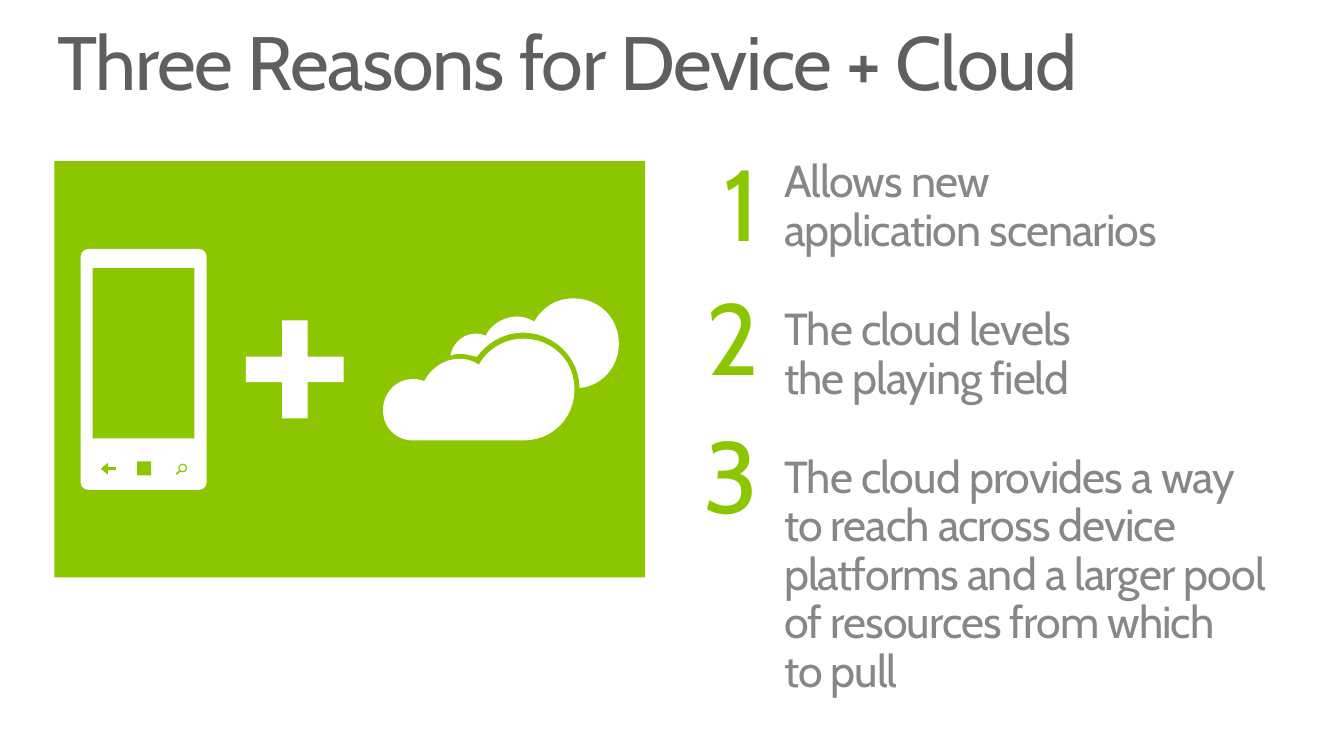
"""Build the slide on three reasons for device plus cloud."""
from dataclasses import dataclass

from lxml.etree import SubElement
from pptx import Presentation
from pptx.dml.color import RGBColor
from pptx.enum.shapes import MSO_CONNECTOR, MSO_SHAPE
from pptx.enum.text import MSO_ANCHOR, MSO_AUTO_SIZE, PP_ALIGN
from pptx.oxml.ns import qn
from pptx.shapes.autoshape import Shape
from pptx.slide import Slide
from pptx.util import Pt

HUES = {"green": "8CC600", "white": "FFFFFF", "title": "5F5F5F", "body": "878787"}
FONT = "Cabin"
STEPS = 12

Point = tuple[float, float]


@dataclass(frozen=True)
class Box:
    left: float
    top: float
    width: float
    height: float


@dataclass(frozen=True)
class Style:
    size: float
    hue: str
    track: float
    align: PP_ALIGN = PP_ALIGN.LEFT
    before: float = 0
    after: float = 0


@dataclass(frozen=True)
class Part:
    kind: MSO_SHAPE
    box: Box
    hue: str
    bends: tuple[float, ...] = ()


@dataclass(frozen=True)
class Cloud:
    start: Point
    curves: tuple[tuple[Point, Point, Point], ...]


TITLE = Style(54, "title", -1)
BODY = Style(32, "body", -0.7, before=6.4, after=30)
DIGIT = Style(72, "green", -1, PP_ALIGN.RIGHT)

REASONS = (
    "Allows new\vapplication scenarios",
    "The cloud levels\vthe playing field",
    "The cloud provides a way\vto reach across device platforms and a larger pool "
    "of resources from which\vto pull",
)
DIGIT_TOPS = (110.16, 205.92, 304.56)

PARTS = (
    Part(MSO_SHAPE.RECTANGLE, Box(38.88, 115.2, 421.92, 297.36), "green"),
    Part(MSO_SHAPE.ROUNDED_RECTANGLE, Box(57.6, 177.84, 90, 172.08), "white", (0.06,)),
    Part(MSO_SHAPE.RECTANGLE, Box(66.24, 191.52, 72.72, 121.68), "green"),
    Part(MSO_SHAPE.LEFT_ARROW, Box(72, 330.5, 10.8, 8.6), "green", (0.25, 0.6)),
    Part(MSO_SHAPE.RECTANGLE, Box(98, 329.6, 10, 10), "green"),
    Part(MSO_SHAPE.DONUT, Box(127.4, 331.2, 6.2, 6.2), "green", (0.14,)),
    Part(MSO_SHAPE.CROSS, Box(175.68, 228.96, 69.84, 69.84), "white", (0.37,)),
)

CLOUDS = (
    Cloud((409.68, 213.12), (
        ((397.44, 213.12), (387.36, 219.6), (381.6, 229.68)),
        ((378, 227.52), (373.68, 226.08), (369.36, 226.08)),
        ((360, 226.08), (350.64, 231.84), (347.04, 239.76)),
        ((344.88, 239.04), (342.72, 238.32), (339.84, 238.32)),
        ((331.2, 238.32), (323.28, 244.8), (321.84, 254.16)),
        ((323.28, 253.44), (326.16, 252.72), (329.04, 252.72)),
        ((332.64, 252.72), (336.96, 254.16), (340.56, 254.88)),
        ((348.48, 244.08), (360.72, 237.6), (373.68, 237.6)),
        ((396, 237.6), (414, 255.6), (414, 277.2)),
        ((429.84, 275.76), (442.08, 262.08), (442.08, 245.52)),
        ((442.08, 226.8), (427.68, 213.12), (409.68, 213.12)),
    )),
    Cloud((373.68, 241.92), (
        ((360.72, 241.92), (348.48, 249.12), (342, 260.64)),
        ((338.4, 257.76), (333.36, 256.32), (328.32, 256.32)),
        ((317.52, 256.32), (308.16, 262.8), (303.12, 272.16)),
        ((300.24, 271.44), (298.08, 270.72), (295.2, 270.72)),
        ((282.96, 270.72), (273.6, 280.8), (273.6, 293.04)),
        ((273.6, 305.28), (282.96, 314.64), (295.2, 314.64)),
        ((295.2, 314.64), (373.68, 314.64), (373.68, 314.64)),
        ((394.56, 314.64), (410.4, 298.8), (410.4, 277.92)),
        ((410.4, 257.76), (394.56, 241.92), (373.68, 241.92)),
    )),
)


def tint(hue: str) -> RGBColor:
    """Return the named colour."""
    return RGBColor.from_string(HUES[hue])


def spread(box: Box) -> tuple[Pt, Pt, Pt, Pt]:
    """Return the four lengths of a box."""
    return Pt(box.left), Pt(box.top), Pt(box.width), Pt(box.height)


def paint(shape: Shape, hue: str) -> None:
    """Give a shape a flat fill with no line or shadow."""
    shape.shadow.inherit = False
    shape.fill.solid()
    shape.fill.fore_color.rgb = tint(hue)
    shape.line.fill.background()


def write(shape: Shape, text: str, style: Style) -> None:
    """Fill a shape with text in the given style."""
    frame = shape.text_frame
    frame.word_wrap = True
    frame.auto_size = MSO_AUTO_SIZE.NONE
    frame.vertical_anchor = MSO_ANCHOR.TOP
    frame.margin_left = frame.margin_right = frame.margin_top = frame.margin_bottom = 0
    frame.text = text
    for rank, para in enumerate(frame.paragraphs):
        para.alignment = style.align
        para.line_spacing = 0.9
        para.space_before = Pt(style.before if rank else 0)
        para.space_after = Pt(style.after)
        for run in para.runs:
            run.font.name = FONT
            run.font.size = Pt(style.size)
            run.font.color.rgb = tint(style.hue)
            run.font._element.set("spc", str(round(style.track * 100)))


def add_text(slide: Slide, box: Box, text: str, style: Style) -> None:
    """Add a text box."""
    write(slide.shapes.add_textbox(*spread(box)), text, style)


def add_part(slide: Slide, part: Part) -> None:
    """Add a preset shape."""
    shape = slide.shapes.add_shape(part.kind, *spread(part.box))
    for rank, bend in enumerate(part.bends):
        shape.adjustments[rank] = bend
    paint(shape, part.hue)


def trace(cloud: Cloud) -> list[Point]:
    """Return points along the cubic curves of a cloud."""
    points, last = [], cloud.start
    for one, two, end in cloud.curves:
        for step in range(1, STEPS + 1):
            t = step / STEPS
            u = 1 - t
            points.append(tuple(
                Pt(u**3 * a + 3 * u * u * t * b + 3 * u * t * t * c + t**3 * d)
                for a, b, c, d in zip(last, one, two, end)
            ))
        last = end
    return points


def add_cloud(slide: Slide, cloud: Cloud) -> None:
    """Add a white cloud outline."""
    left, top = cloud.start
    pen = slide.shapes.build_freeform(Pt(left), Pt(top))
    pen.add_line_segments(trace(cloud), close=True)
    paint(pen.convert_to_shape(), "white")


def add_grip(slide: Slide, start: Point, end: Point) -> None:
    """Add the handle of the search lens."""
    ends = (Pt(value) for value in start + end)
    line = slide.shapes.add_connector(MSO_CONNECTOR.STRAIGHT, *ends)
    line.line.color.rgb = tint("green")
    line.line.width = Pt(1.25)
    SubElement(line._element.spPr, qn("a:effectLst"))


def main() -> None:
    """Draw and save the slide."""
    deck = Presentation()
    deck.slide_width, deck.slide_height = Pt(960), Pt(540)
    slide = deck.slides.add_slide(deck.slide_layouts[5])
    title = slide.shapes.title
    title.left, title.top, title.width, title.height = spread(Box(41.04, 18, 877.68, 59.04))
    write(title, "Three Reasons for Device + Cloud", TITLE)
    add_text(slide, Box(560.16, 113.76, 358.56, 390.24), "\n".join(REASONS), BODY)
    for part in PARTS:
        add_part(slide, part)
    add_grip(slide, (128.4, 336.4), (126, 338.8))
    for cloud in CLOUDS:
        add_cloud(slide, cloud)
    for digit, top in enumerate(DIGIT_TOPS, 1):
        add_text(slide, Box(460.8, top, 81.36, 78.48), str(digit), DIGIT)
    deck.save("out.pptx")


if __name__ == "__main__":
    main()
